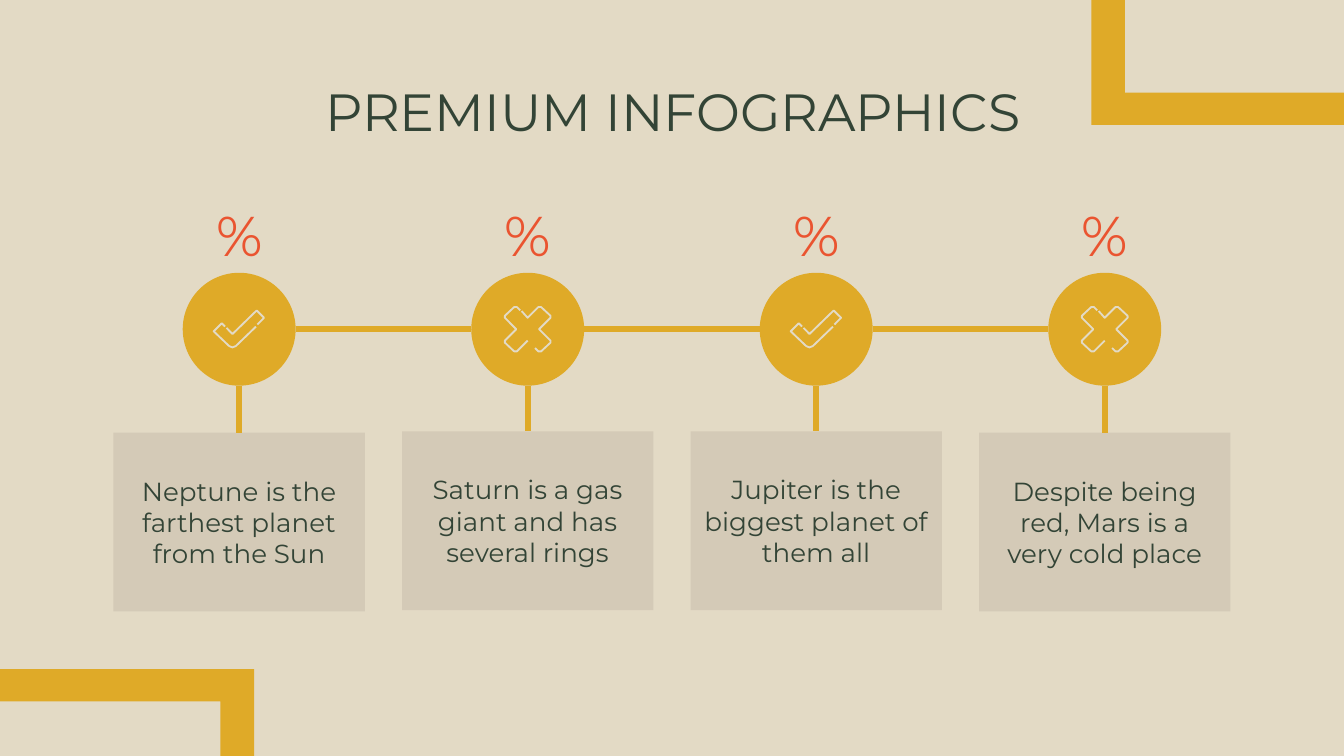
"""Build a four-step planet infographic slide."""
from dataclasses import dataclass

import lxml.etree
import pptx
import pptx.dml.color
import pptx.enum.shapes
import pptx.enum.text
import pptx.oxml.ns
import pptx.util


@dataclass(frozen=True)
class Theme:
    sand: str = "E3DAC5"
    card: str = "D4CAB7"
    gold: str = "DFAA28"
    green: str = "334436"
    coral: str = "EA5430"
    font: str = "Montserrat"
    title: int = 28
    figure: int = 30
    body: int = 14
    link: float = 3
    icon: float = 1


theme = Theme()
rgb = pptx.dml.color.RGBColor.from_string
inch = pptx.util.Inches
shape_kind = pptx.enum.shapes.MSO_SHAPE
anchor = pptx.enum.text.MSO_ANCHOR

width = 10
height = width * 9 / 16
first_center, last_center = 1.78, 8.22
figure_top, figure_width, figure_height = 1.52, 1.19, 0.44
hub_row, hub_radius = 2.45, 0.42
card_width, card_height = 1.87, 1.33

deck = pptx.Presentation()
deck.slide_width, deck.slide_height = inch(width), inch(height)
slide = deck.slides.add_slide(deck.slide_layouts[6])
slide.background.fill.solid()
slide.background.fill.fore_color.rgb = rgb(theme.sand)
shapes = slide.shapes


def write(holder, text, size, color, vertical):
    frame = holder.text_frame
    frame.word_wrap = True
    frame.vertical_anchor = vertical
    frame.margin_left = frame.margin_right = inch(0.1)
    frame.margin_top = frame.margin_bottom = inch(0.1)
    paragraph = frame.paragraphs[0]
    paragraph.text = text
    paragraph.alignment = pptx.enum.text.PP_ALIGN.CENTER
    paragraph.font.name = theme.font
    paragraph.font.size = pptx.util.Pt(size)
    paragraph.font.color.rgb = rgb(color)


def paint(shape, color):
    shape.shadow.inherit = False
    shape.fill.solid()
    shape.fill.fore_color.rgb = rgb(color)
    shape.line.fill.background()


top_corner = [(8.12, 0), (8.37, 0), (8.37, 0.69), (width, 0.69), (width, 0.93), (8.12, 0.93)]
bottom_corner = [(1.89, height), (1.64, height), (1.64, 5.22), (0, 5.22), (0, 4.98), (1.89, 4.98)]
for corner in (bottom_corner, top_corner):
    turns = [(inch(x), inch(y)) for x, y in corner]
    outline = shapes.build_freeform(*turns[0])
    outline.add_line_segments(turns[1:], close=True)
    paint(outline.convert_to_shape(), theme.gold)

heading = shapes.add_textbox(inch(0.79), inch(0.49), inch(8.43), inch(0.63))
write(heading, "PREMIUM INFOGRAPHICS", theme.title, theme.green, anchor.TOP)

check = [
    [(-10.5, -2), (-13, -4.5), (-19, 1.5), (-7.5, 12.5), (-5, 13.5), (-2.5, 12.5), (12.5, -2)],
    [(-9.5, -1), (-5, 3.5), (13, -14), (18.5, -8.5), (13.5, -3.5)],
]
cross_half = [
    (-4.5, -13.5), (0, -8.5), (8, -16.5), (10, -16.5), (17, -10), (17, -8.5), (8.5, 0),
    (17, 8.5), (17, 10), (10, 16.5), (8, 16.5), (5.5, 14),
]
cross = [cross_half, [(-x, -y) for x, y in cross_half[1:]]]

steps = [
    ("Neptune is the farthest planet from the Sun", check, 3.22),
    ("Saturn is a gas giant and has several rings", cross, 3.21),
    ("Jupiter is the biggest planet of them all", check, 3.21),
    ("Despite being red, Mars is a very cold place", cross, 3.22),
]
pitch = (last_center - first_center) / (len(steps) - 1)
for column, (fact, icon, card_top) in enumerate(steps):
    center = first_center + column * pitch

    card = shapes.add_shape(
        shape_kind.RECTANGLE, inch(center - card_width / 2), inch(card_top),
        inch(card_width), inch(card_height))
    paint(card, theme.card)
    write(card, fact, theme.body, theme.green, anchor.MIDDLE)

    hub = shapes.add_shape(
        shape_kind.OVAL, inch(center - hub_radius), inch(hub_row - hub_radius),
        inch(2 * hub_radius), inch(2 * hub_radius))
    paint(hub, theme.gold)

    figure = shapes.add_textbox(
        inch(center - figure_width / 2), inch(figure_top),
        inch(figure_width), inch(figure_height))
    write(figure, "%", theme.figure, theme.coral, anchor.MIDDLE)

    links = [(center, hub_row + hub_radius, center, card_top)]
    if column < len(steps) - 1:
        links.append((center + hub_radius, hub_row, center + pitch - hub_radius, hub_row))
    for ends in links:
        link = shapes.add_connector(
            pptx.enum.shapes.MSO_CONNECTOR.STRAIGHT, *[inch(end) for end in ends])
        link.line.color.rgb = rgb(theme.gold)
        link.line.width = pptx.util.Pt(theme.link)
        lxml.etree.SubElement(link._element.spPr, pptx.oxml.ns.qn("a:effectLst"))

    for stroke in icon:
        turns = [(inch(center + x / 100), inch(hub_row + y / 100)) for x, y in stroke]
        pen = shapes.build_freeform(*turns[0])
        pen.add_line_segments(turns[1:], close=False)
        mark = pen.convert_to_shape()
        mark.shadow.inherit = False
        mark.fill.background()
        mark.line.color.rgb = rgb(theme.sand)
        mark.line.width = pptx.util.Pt(theme.icon)

deck.save("out.pptx")
